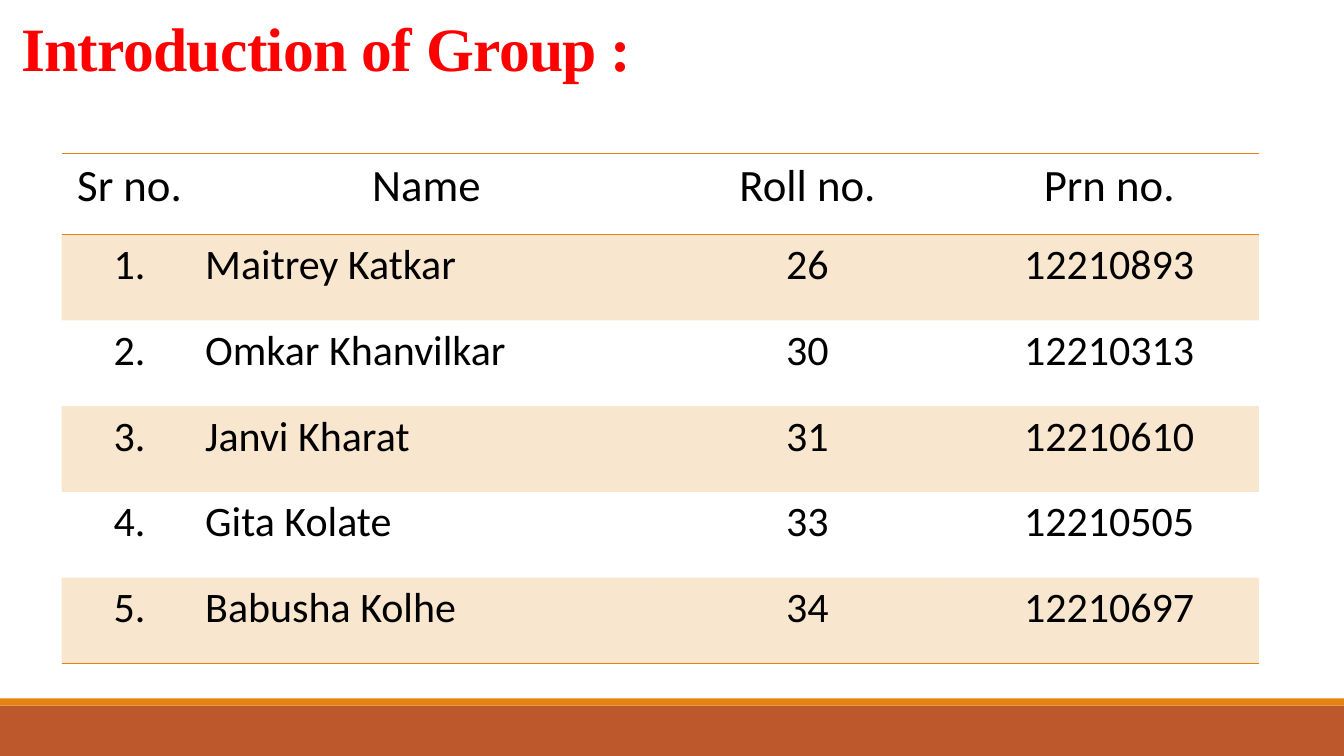
from lxml.etree import SubElement
from pptx import Presentation
from pptx.dml.color import RGBColor as RGB
from pptx.enum.text import MSO_ANCHOR as ANCHOR, PP_ALIGN as ALIGN
from pptx.enum.shapes import MSO_SHAPE as SHAPE
from pptx.oxml.ns import qn
from pptx.util import Pt

COLORS = {"title": "FF0000", "text": "000000", "accent": "E48312", "footer": "BD582C"}
NO_STYLE = "{2D5ABB26-0587-4C30-8999-92F81FD0307C}"
COL_WIDTHS = [97.2, 326.9, 217.4, 213.8]
HEADER_HEIGHT, ROW_HEIGHT = 58.1, 61.28
HEADER = ["Sr no.", "Name", "Roll no.", "Prn no."]
MEMBERS = [
    ("Maitrey Katkar", "26", "12210893"),
    ("Omkar Khanvilkar", "30", "12210313"),
    ("Janvi Kharat", "31", "12210610"),
    ("Gita Kolate", "33", "12210505"),
    ("Babusha Kolhe", "34", "12210697"),
]


def style_font(p, name, size, color):
    """Set the font of a whole paragraph."""
    p.font.name, p.font.size = name, Pt(size)
    p.font.color.rgb = RGB.from_string(COLORS[color])


def add_bar(s, top, height, color):
    """Draw a full-width bar."""
    sp = s.shapes.add_shape(SHAPE.RECTANGLE, 0, Pt(top), Pt(960), Pt(height))
    sp.shadow.inherit = False
    sp.fill.solid()
    sp.fill.fore_color.rgb = RGB.from_string(COLORS[color])
    sp.line.fill.background()


def add_title(s, text):
    """Write the slide title."""
    tf = s.shapes.add_textbox(Pt(8), Pt(11.5), Pt(772), Pt(72)).text_frame
    tf.word_wrap = True
    tf.vertical_anchor = ANCHOR.TOP
    p = tf.paragraphs[0]
    r = p.add_run()
    r.text = text
    p.line_spacing = 0.85
    style_font(p, "Times New Roman", 44, "title")
    p.font.bold = True
    r.font._element.set("spc", "-50")


def add_border(cell, side):
    """Rule one side of a cell, "T" or "B"."""
    ln = SubElement(cell._tc.get_or_add_tcPr(), qn("a:ln" + side), w=str(Pt(1)))
    SubElement(SubElement(ln, qn("a:solidFill")), qn("a:srgbClr"), val=COLORS["accent"])


def tint_cell(cell):
    """Fill a cell with the accent colour at 20 percent opacity."""
    cell.fill.solid()
    cell.fill.fore_color.rgb = RGB.from_string(COLORS["accent"])
    for clr in cell._tc.tcPr.findall(qn("a:solidFill") + "/" + qn("a:srgbClr")):
        SubElement(clr, qn("a:alpha"), val="20000")


def fill_cell(cell, text, size, align):
    """Write one table cell."""
    cell.margin_left = cell.margin_right = Pt(5.4)
    cell.margin_top = cell.margin_bottom = Pt(3.6)
    p = cell.text_frame.paragraphs[0]
    p.text, p.alignment = text, align
    style_font(p, "Calibri", size, "text")


def add_member_table(s):
    """Build the banded table of group members."""
    rows = [HEADER] + [(f"{i}.", *m) for i, m in enumerate(MEMBERS, 1)]
    heights = [HEADER_HEIGHT] + [ROW_HEIGHT] * len(MEMBERS)
    table = s.shapes.add_table(len(rows), len(HEADER), Pt(44), Pt(109.5),
                               Pt(sum(COL_WIDTHS)), Pt(sum(heights))).table
    table._tbl.tblPr.find(qn("a:tableStyleId")).text = NO_STYLE
    table.horz_banding = False
    for col, width in zip(table.columns, COL_WIDTHS):
        col.width = Pt(width)
    for i, values in enumerate(rows):
        table.rows[i].height = Pt(heights[i])
        for j, text in enumerate(values):
            cell = table.cell(i, j)
            align = ALIGN.JUSTIFY if i and j == 1 else ALIGN.CENTER
            fill_cell(cell, text, 30 if i else 32, align)
            if i == 0:
                add_border(cell, "T")
            if i in (0, len(MEMBERS)):
                add_border(cell, "B")
            if i % 2:
                tint_cell(cell)
            else:
                cell.fill.background()


def main():
    """Build and save the slide."""
    prs = Presentation()
    prs.slide_width, prs.slide_height = Pt(960), Pt(540)
    s = prs.slides.add_slide(prs.slide_layouts[6])
    add_bar(s, 504, 36, "footer")
    add_bar(s, 498.8, 5.2, "accent")
    add_title(s, "Introduction of Group :")
    add_member_table(s)
    prs.save("out.pptx")


main()
